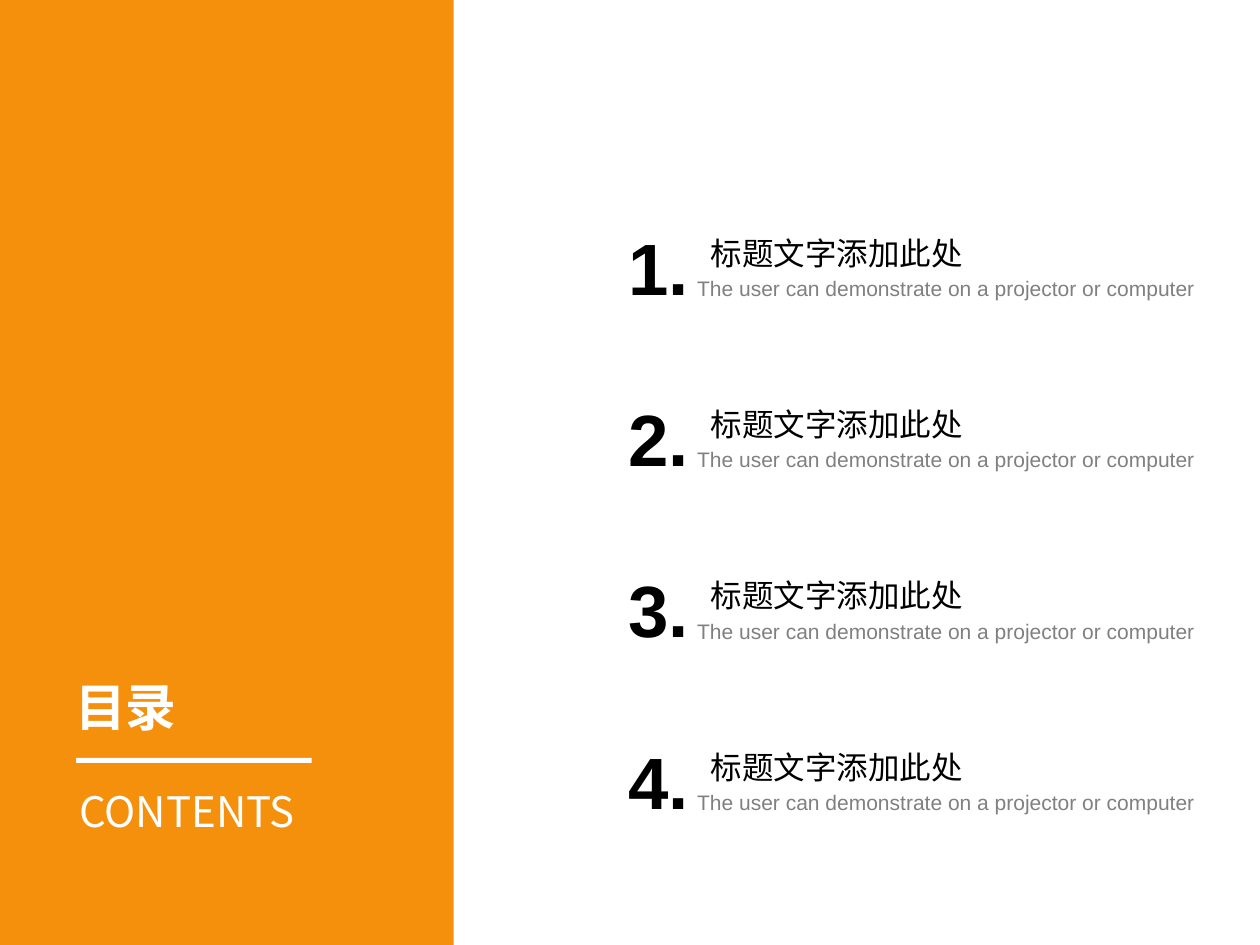
from lxml.etree import SubElement
from pptx import Presentation
from pptx.dml.color import RGBColor
from pptx.enum.shapes import MSO_SHAPE
from pptx.enum.text import MSO_ANCHOR, MSO_AUTO_SIZE, PP_ALIGN
from pptx.oxml.ns import qn
from pptx.util import Cm, Pt

TITLE = "目录"
LABEL = "CONTENTS"
NOTE = "The user can demonstrate on a projector or computer"
ITEMS = [
    ("1.", "标题文字添加此处", NOTE),
    ("2.", "标题文字添加此处", NOTE),
    ("3.", "标题文字添加此处", NOTE),
    ("4.", "标题文字添加此处", NOTE),
]
COLORS = {"panel": "F4900B", "white": "FFFFFF", "black": "000000", "gray": "808080"}
HAN, LATIN = "Noto Sans CJK SC", "Arial"
WIDTH, HEIGHT = 50.8, 38.1
STEP = 6.91


def color(name):
    return RGBColor.from_string(COLORS[name])


def add_bar(slide, box, fill):
    bar = slide.shapes.add_shape(MSO_SHAPE.RECTANGLE, *map(Cm, box))
    bar.shadow.inherit = False
    bar.fill.solid()
    bar.fill.fore_color.rgb = color(fill)
    bar.line.fill.background()


def set_text(shape, text, face, size, ink, bold=False, align=PP_ALIGN.CENTER, wrap=True):
    frame = shape.text_frame
    frame.text = text
    frame.word_wrap = wrap
    frame.auto_size = MSO_AUTO_SIZE.SHAPE_TO_FIT_TEXT
    frame.vertical_anchor = MSO_ANCHOR.MIDDLE
    frame.margin_left = frame.margin_right = Cm(0.15)
    frame.margin_top = frame.margin_bottom = Cm(0.15)
    para = frame.paragraphs[0]
    para.alignment = align
    font = para.font
    font.name, font.size, font.bold = face, Pt(size), bold
    font.color.rgb = color(ink)
    SubElement(para._p.pPr.find(qn("a:defRPr")), qn("a:ea"), typeface=face)


def add_text(shapes, box, *args, **style):
    set_text(shapes.add_textbox(*map(Cm, box)), *args, **style)


def add_item(slide, row, item):
    number, heading, note = item
    shapes = slide.shapes.add_group_shape().shapes
    drop = row * STEP
    add_text(shapes, (28.5, 9.27 + drop, 11.07, 1.83), heading, HAN, 36, "black",
             align=PP_ALIGN.JUSTIFY)
    add_text(shapes, (27.69, 10.95 + drop, 20.88, 1.32), note, LATIN, 24, "gray")
    add_text(shapes, (24.59, 8.81 + drop, 3.91, 3.84), number, LATIN, 83, "black", bold=True)


def main():
    deck = Presentation()
    deck.slide_width, deck.slide_height = Cm(WIDTH), Cm(HEIGHT)
    slide = deck.slides.add_slide(deck.slide_layouts[5])
    add_bar(slide, (0, 0, 18.29, HEIGHT), "panel")

    title = slide.shapes.title
    title.left, title.top, title.width, title.height = map(Cm, (2.34, 27.08, 5.46, 2.77))
    set_text(title, TITLE, HAN, 58, "white", bold=True)
    slide.shapes._spTree.append(title._element)

    add_bar(slide, (3.07, 30.56, 9.5, 0.2), "white")
    add_text(slide.shapes, (2.79, 31.52, 9.5, 2.34), LABEL, HAN, 48, "white", wrap=False)
    for row, item in enumerate(ITEMS):
        add_item(slide, row, item)
    deck.save("out.pptx")


if __name__ == "__main__":
    main()
